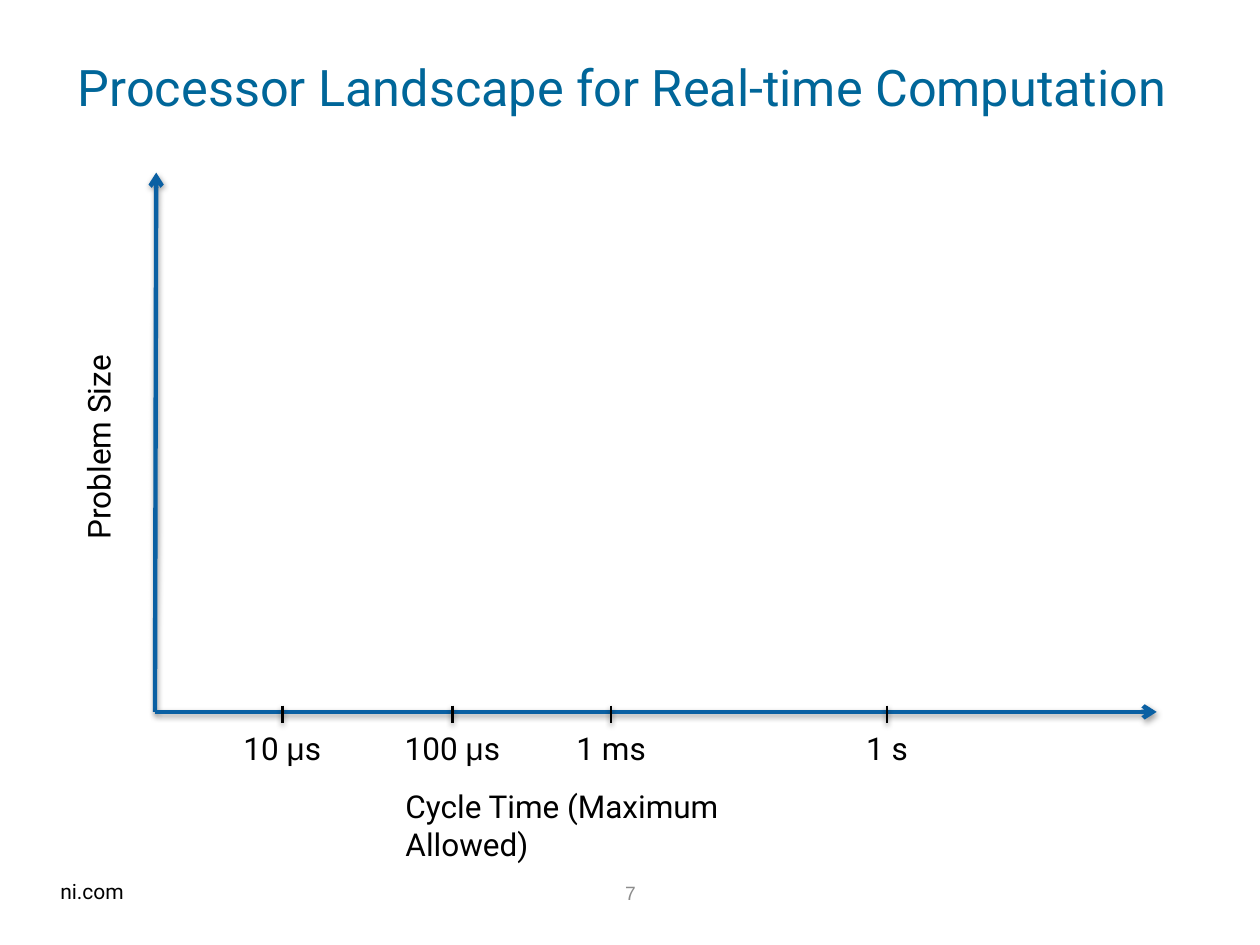
from lxml import etree
from pptx import Presentation
from pptx.dml.color import RGBColor
from pptx.enum.shapes import MSO_CONNECTOR
from pptx.enum.text import MSO_ANCHOR, PP_ALIGN
from pptx.oxml import parse_xml
from pptx.oxml.ns import nsdecls, qn
from pptx.util import Inches, Pt

COLORS = {"title": "006699", "axis": "0A60A3", "text": "000000", "number": "8C8C8C"}
SHADOW = (
    f'<a:effectLst {nsdecls("a")}>'
    '<a:outerShdw blurRad="40000" dist="20000" dir="5400000" rotWithShape="0">'
    '<a:srgbClr val="000000"><a:alpha val="38000"/></a:srgbClr>'
    "</a:outerShdw></a:effectLst>"
)


class SlideBuilder:
    """Holds the text style and the slide being drawn."""

    font_name = "Roboto"
    symbol_font = "Arial"

    def __init__(self, slide):
        self.slide = slide

    def text(self, content, left, top, width, height, size=18, color="text",
             font_name=None, align=PP_ALIGN.LEFT, anchor=MSO_ANCHOR.TOP,
             wrap=True, upward=False):
        box = self.slide.shapes.add_textbox(
            Inches(left), Inches(top), Inches(width), Inches(height))
        frame = box.text_frame
        frame.word_wrap = wrap
        frame.vertical_anchor = anchor
        if upward:
            frame._txBody.bodyPr.set("vert", "vert270")
        paragraph = frame.paragraphs[0]
        paragraph.alignment = align
        paragraph.font.size = Pt(size)
        paragraph.font.name = font_name or self.font_name
        paragraph.font.color.rgb = RGBColor.from_string(COLORS[color])
        # The Greek letter is set in its own font
        before, symbol, after = content.partition("μ")
        for part in filter(None, (before, symbol, after)):
            run = paragraph.add_run()
            run.text = part
            if part == "μ":
                run.font.name = self.symbol_font

    def line(self, start, end, color, width, arrow=False):
        connector = self.slide.shapes.add_connector(
            MSO_CONNECTOR.STRAIGHT, *map(Inches, start + end))
        connector.line.color.rgb = RGBColor.from_string(COLORS[color])
        connector.line.width = Pt(width)
        if arrow:
            etree.SubElement(connector.line._get_or_add_ln(),
                             qn("a:tailEnd"), type="arrow")
        connector._element.spPr.append(parse_xml(SHADOW))

    def tick(self, label, x, axis_y, label_width):
        self.text(label, x - label_width / 2, axis_y + 0.09, label_width, 0.4,
                  align=PP_ALIGN.CENTER)
        self.line((x, axis_y - 0.05), (x, axis_y + 0.09), "text", 1.5)


def main():
    presentation = Presentation()
    presentation.slide_width = Inches(10)
    presentation.slide_height = Inches(7.5)
    slide = presentation.slides.add_slide(presentation.slide_layouts[6])
    builder = SlideBuilder(slide)

    # Footer
    builder.text("7", 4.81, 6.94, 0.39, 0.3, size=11, color="number",
                 font_name="Arial", align=PP_ALIGN.CENTER, anchor=MSO_ANCHOR.MIDDLE)
    builder.text("ni.com", 0.38, 6.92, 0.71, 0.3, size=12, wrap=False)

    # Title
    builder.text("Processor Landscape for Real-time Computation",
                 0.52, 0.16, 8.93, 1.05, size=28.8, color="title",
                 anchor=MSO_ANCHOR.MIDDLE)

    # Axes and their names
    origin = (1.23, 5.65)
    builder.line(origin, (1.24, 1.37), "axis", 2.5, arrow=True)
    builder.text("Problem Size", 0.58, 2.68, 0.5, 1.7, upward=True)
    builder.line(origin, (9.18, 5.65), "axis", 2.5, arrow=True)
    builder.text("Cycle Time (Maximum Allowed)", 3.12, 6.2, 3.47, 0.7)

    # Time ticks
    for label, x in (("10 μs", 2.24), ("100 μs", 3.59), ("1 ms", 4.85), ("1 s", 7.04)):
        builder.tick(label, x, origin[1], label_width=1.02)

    presentation.save("out.pptx")


if __name__ == "__main__":
    main()
